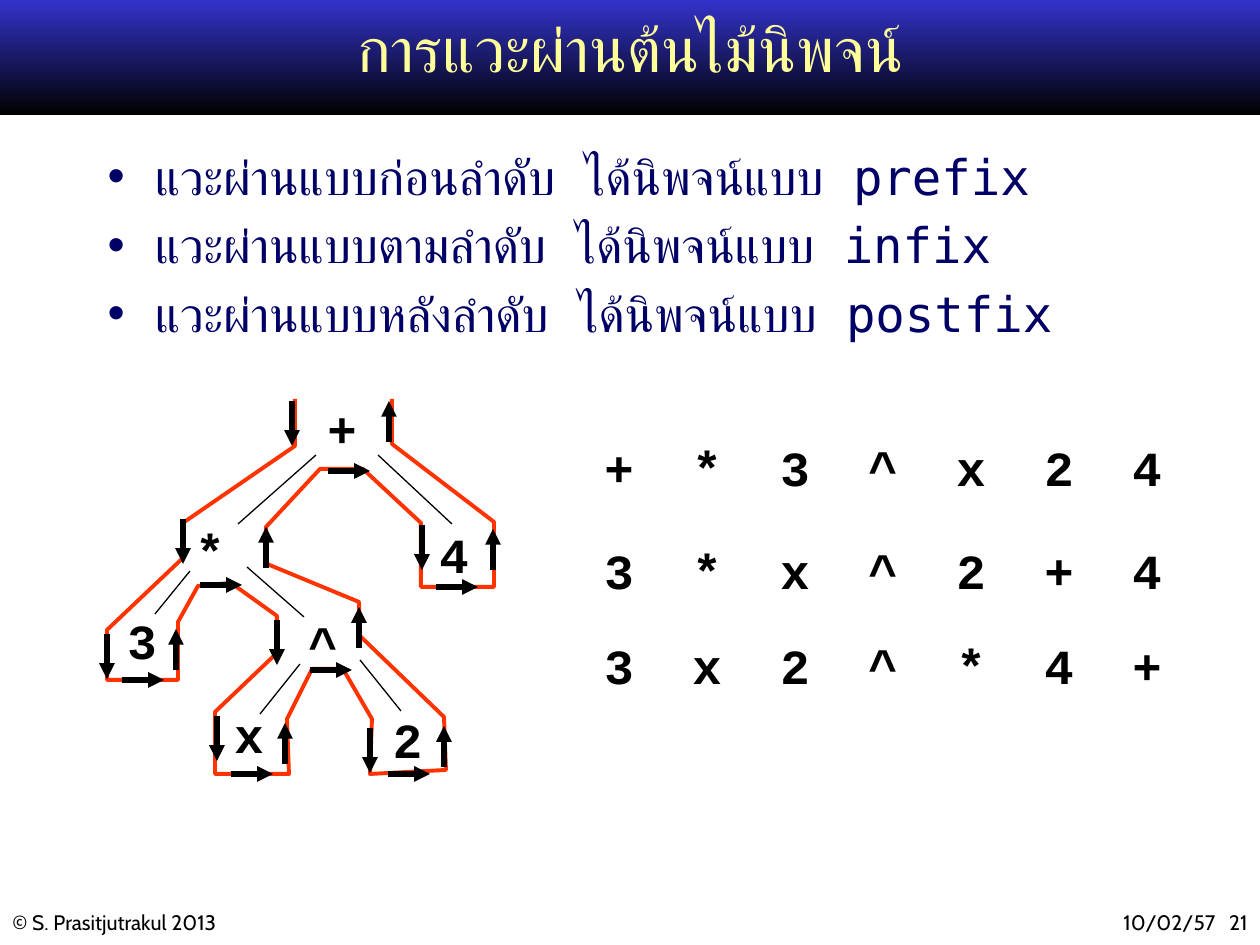
from dataclasses import dataclass
from typing import Any

from lxml.etree import SubElement
from pptx import Presentation
from pptx.dml.color import RGBColor
from pptx.enum.shapes import MSO_CONNECTOR, MSO_SHAPE
from pptx.enum.text import MSO_ANCHOR, MSO_AUTO_SIZE, PP_ALIGN
from pptx.oxml.ns import qn
from pptx.util import Emu, Pt

SCALE = 914400 / 126
BLACK = RGBColor(0x00, 0x00, 0x00)
BLUE = RGBColor(0x33, 0x33, 0xCC)
NAVY = RGBColor(0x00, 0x00, 0x66)
CREAM = RGBColor(0xFF, 0xFF, 0x99)
RED = RGBColor(0xFF, 0x33, 0x00)

MONO = "DejaVu Sans Mono"
CODE = {"name": "Courier New", "size": Pt(28), "bold": True}
SMALL = {"name": "Cabin", "size": Pt(12)}
HEAD = {"name": MONO, "size": Pt(36)}
BODY = {"name": MONO, "size": Pt(28)}


@dataclass
class Label:
    text: str
    x: int
    y: int
    w: int = 54
    h: int = 72
    align: Any = PP_ALIGN.CENTER


@dataclass
class Line:
    x: int
    y: int
    to_x: int
    to_y: int


def px(n: int) -> Emu:
    return Emu(round(n * SCALE))


def assign(item: Any, values: dict) -> None:
    for key, value in values.items():
        setattr(item, key, value)


def place(shape: Any, x: int, y: int, w: int, h: int) -> None:
    assign(shape, {"left": px(x), "top": px(y), "width": px(w), "height": px(h)})


def style(run: Any, font: dict, color: RGBColor) -> None:
    assign(run.font, font)
    run.font.color.rgb = color


def write(slide: Any, label: Label, font: dict, wrap: bool = False) -> None:
    box = slide.shapes.add_textbox(px(label.x), px(label.y), px(label.w), px(label.h))
    assign(box.text_frame, {"word_wrap": wrap,
                            "auto_size": MSO_AUTO_SIZE.SHAPE_TO_FIT_TEXT})
    para = box.text_frame.paragraphs[0]
    para.alignment = label.align
    # Space before as a share of the line
    before = SubElement(para._p.get_or_add_pPr(), qn("a:spcBef"))
    SubElement(before, qn("a:spcPct")).set("val", "50000")
    run = para.add_run()
    run.text = label.text
    style(run, font, BLACK)


def link(slide: Any, line: Line, width: float, arrow: bool = False) -> None:
    wire = slide.shapes.add_connector(
        MSO_CONNECTOR.STRAIGHT,
        px(line.x), px(line.y), px(line.to_x), px(line.to_y))
    wire.line.width = Pt(width)
    wire.line.color.rgb = BLACK
    if arrow:
        SubElement(wire.line._get_or_add_ln(), qn("a:tailEnd")).set("type", "triangle")
    SubElement(wire._element.spPr, qn("a:effectLst"))


def fill_text(shape: Any, lines: list[str], font: dict, color: RGBColor) -> None:
    frame = shape.text_frame
    frame.text = "\n".join(lines)
    frame.auto_size = MSO_AUTO_SIZE.NONE
    for para in frame.paragraphs:
        for run in para.runs:
            style(run, font, color)
            SubElement(run.font._element, qn("a:cs")).set("typeface", MONO)


NODES = [
    Label("^", 296, 607), Label("x", 222, 698), Label("2", 374, 703, 67),
    Label("+", 315, 392), Label("4", 427, 518), Label("*", 183, 514),
    Label("3", 115, 604),
]
EDGES = [
    Line(316, 455, 238, 524), Line(190, 571, 155, 614), Line(247, 567, 304, 617),
    Line(300, 664, 260, 714), Line(360, 660, 401, 711), Line(378, 455, 452, 524),
]
ROUTE = [
    (295, 399), (295, 446), (183, 523), (183, 558), (107, 630), (107, 680),
    (178, 680), (178, 622), (198, 586), (231, 583), (277, 616), (277, 653),
    (215, 712), (215, 774), (289, 774), (287, 719), (312, 669), (343, 669),
    (372, 719), (370, 774), (446, 770), (444, 717), (360, 636), (359, 602),
    (267, 564), (266, 527), (320, 469), (363, 469), (421, 523), (421, 587),
    (494, 587), (494, 522), (392, 444), (392, 399),
]
# Arrow starts, keyed by the step each arrow takes
ARROWS = {
    (0, 45): [(292, 401), (183, 519), (107, 634), (277, 620), (217, 716),
              (370, 728), (422, 525)],
    (42, 0): [(122, 680), (200, 585), (231, 774), (310, 670), (388, 774),
              (328, 471), (436, 587)],
    (0, -41): [(176, 670), (285, 764), (444, 767), (359, 648), (266, 568),
               (493, 570), (389, 442)],
}
ORDERS = {431: "+*3^x24", 534: "3*x^2+4", 629: "3x2^*4+"}


def main() -> None:
    deck = Presentation()
    assign(deck, {"slide_width": px(1260), "slide_height": px(945)})
    slide = deck.slides.add_slide(deck.slide_layouts[1])
    title, body = slide.placeholders

    # Title band, behind everything else
    band = slide.shapes.add_shape(MSO_SHAPE.RECTANGLE, 0, 0, px(1260), px(115))
    band.shadow.inherit = False
    band.line.fill.background()
    band.fill.gradient()
    band.fill.gradient_angle = 270
    for stop, color in zip(band.fill.gradient_stops, (BLUE, BLACK)):
        stop.color.rgb = color
    slide.shapes._spTree.insert(2, band._element)

    # Title and list
    place(title, 95, 10, 1071, 89)
    fill_text(title, ["การแวะผ่านต้นไม้นิพจน์"], HEAD, CREAM)
    title.text_frame.vertical_anchor = MSO_ANCHOR.MIDDLE
    assign(title.text_frame.paragraphs[0],
           {"alignment": PP_ALIGN.CENTER, "line_spacing": 0.8})
    place(body, 95, 140, 1071, 703)
    fill_text(body, [
        "แวะผ่านแบบก่อนลำดับ ได้นิพจน์แบบ prefix",
        "แวะผ่านแบบตามลำดับ ได้นิพจน์แบบ infix",
        "แวะผ่านแบบหลังลำดับ ได้นิพจน์แบบ postfix",
    ], BODY, NAVY)

    # Footer
    for label in (
        Label("© S. Prasitjutrakul 2013", 0, 903, 410, 38, PP_ALIGN.LEFT),
        Label("10/02/57", 987, 903, 241, 38, PP_ALIGN.RIGHT),
        Label("21", 1200, 903, 60, 38, PP_ALIGN.RIGHT),
    ):
        write(slide, label, SMALL, wrap=True)

    # Expression tree
    for node in NODES:
        write(slide, node, CODE, wrap=node.w > 54)
    for edge in EDGES:
        link(slide, edge, 0.75)

    # Walk around the tree
    pen = slide.shapes.build_freeform(*ROUTE[0], scale=SCALE)
    pen.add_line_segments(ROUTE[1:], close=False)
    walk = pen.convert_to_shape()
    walk.shadow.inherit = False
    walk.fill.background()
    walk.line.color.rgb = RED
    walk.line.width = Pt(2.25)
    for (dx, dy), starts in ARROWS.items():
        for x, y in starts:
            link(slide, Line(x, y, x + dx, y + dy), 3, arrow=True)

    # Prefix, infix and postfix rows
    for y, order in ORDERS.items():
        for col, sign in enumerate(order):
            write(slide, Label(sign, 592 + 88 * col, y, align=PP_ALIGN.LEFT), CODE)

    deck.save("out.pptx")


if __name__ == "__main__":
    main()
